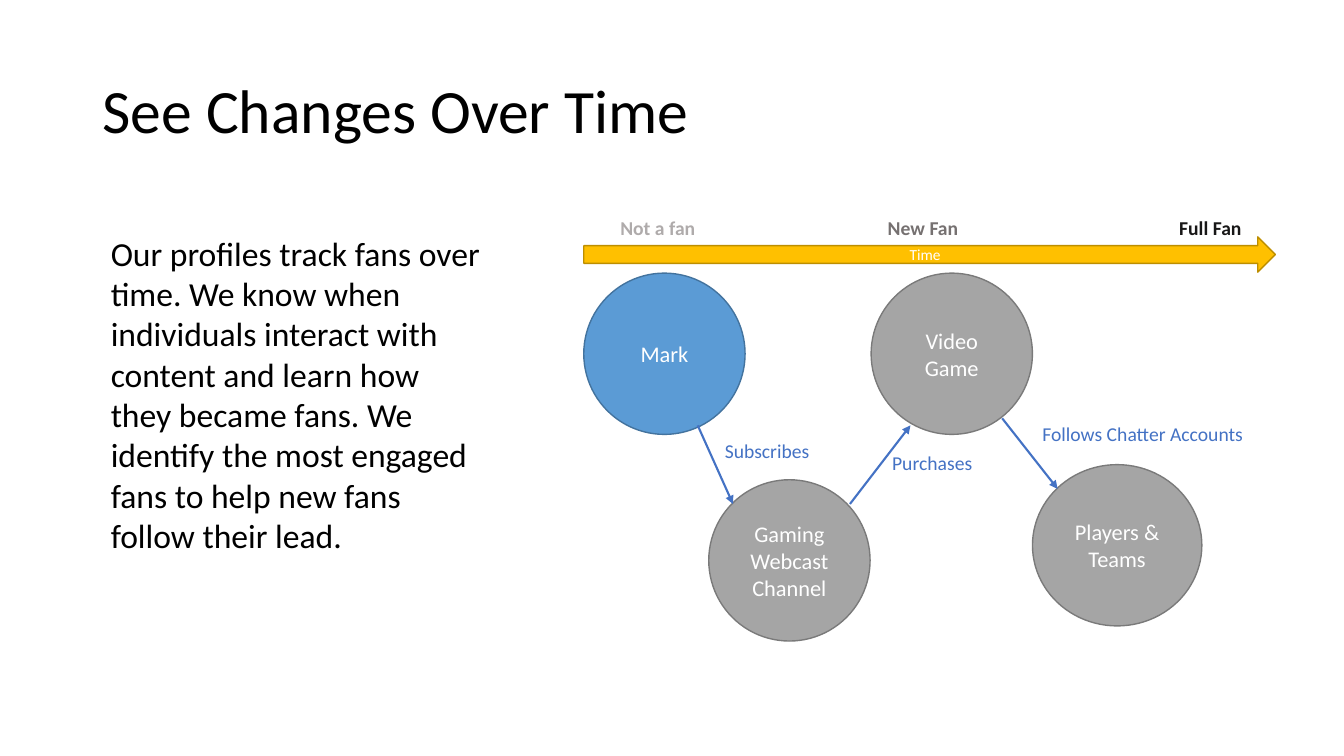
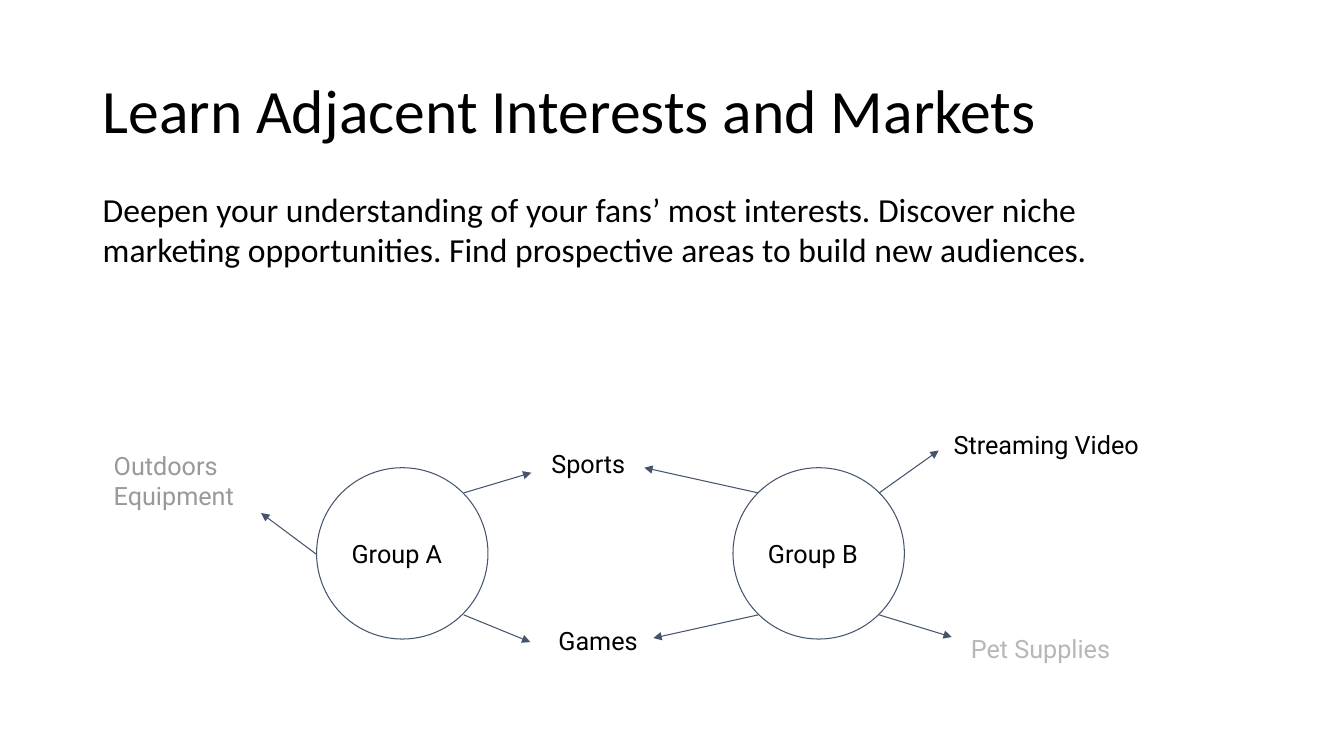
"""Build two slides on fan profiles and their shared interests."""
from dataclasses import dataclass

from lxml import etree
from pptx import Presentation
from pptx import util as u
from pptx.dml.color import RGBColor
from pptx.enum import shapes, text
from pptx.oxml import ns


@dataclass(frozen=True)
class Theme:
    """Fonts, type sizes and colours of the deck."""
    main: str = "Calibri"
    alt: str = "Roboto"
    head: float = 44
    body: float = 24
    group: float = 18
    node: float = 16
    label: float = 14
    tiny: float = 11
    black: str = "000000"
    white: str = "FFFFFF"
    blue: str = "4472C4"
    sky: str = "5B9BD5"
    sky_edge: str = "43739E"
    gray: str = "A5A5A5"
    gray_edge: str = "7A7A7A"
    gold: str = "FFC000"
    gold_edge: str = "BD8E00"
    slate: str = "44546A"
    stages: tuple[str, ...] = ("AFABAB", "767171", "181717")
    faint: str = "999999"
    pale: str = "B7B7B7"


T = Theme()
MID = text.PP_ALIGN.CENTER
LEFT = text.PP_ALIGN.LEFT
OVAL = shapes.MSO_SHAPE.OVAL
ARROW = shapes.MSO_SHAPE.RIGHT_ARROW


@dataclass(frozen=True)
class Style:
    """How a piece of text looks; pad is the top and bottom inset."""
    size: float
    color: str = T.black
    font: str = T.main
    bold: bool = False
    align: text.PP_ALIGN = LEFT
    pad: float = 0.05
    space: float | None = None
    middle: bool = False


@dataclass(frozen=True)
class Box:
    """A place on the slide, in inches."""
    x: float
    y: float
    w: float
    h: float


@dataclass(frozen=True)
class Note:
    """A text box."""
    words: str
    box: Box
    style: Style


@dataclass(frozen=True)
class Node:
    """A preset shape with text; no fill leaves it clear."""
    words: str
    box: Box
    style: Style
    edge: str
    fill: str | None = None
    width: float = 1
    kind: shapes.MSO_SHAPE = OVAL


@dataclass(frozen=True)
class Link:
    """An arrow between two points."""
    start: tuple[float, float]
    end: tuple[float, float]
    color: str
    width: float


def write(shape, words: str, style: Style) -> None:
    """Put styled text in a shape."""
    frame = shape.text_frame
    frame.text = words
    frame.word_wrap = True
    frame.margin_top = frame.margin_bottom = u.Inches(style.pad)
    anchor = text.MSO_ANCHOR
    frame.vertical_anchor = anchor.MIDDLE if style.middle else anchor.TOP
    for para in frame.paragraphs:
        para.alignment = style.align
        para.line_spacing = style.space
        for run in para.runs:
            run.font.name = style.font
            run.font.size = u.Pt(style.size)
            run.font.bold = style.bold
            run.font.color.rgb = RGBColor.from_string(style.color)


def place(box: Box) -> list[u.Length]:
    """Turn a box into lengths."""
    return [u.Inches(side) for side in (box.x, box.y, box.w, box.h)]


def draw_note(slide, note: Note) -> None:
    """Draw a text box."""
    write(slide.shapes.add_textbox(*place(note.box)), note.words, note.style)


def draw_node(slide, node: Node) -> None:
    """Draw a shape with its text."""
    shape = slide.shapes.add_shape(node.kind, *place(node.box))
    shape.shadow.inherit = False
    if node.fill:
        shape.fill.solid()
        shape.fill.fore_color.rgb = RGBColor.from_string(node.fill)
    else:
        shape.fill.background()
    shape.line.color.rgb = RGBColor.from_string(node.edge)
    shape.line.width = u.Pt(node.width)
    write(shape, node.words, node.style)


def draw_link(slide, link: Link) -> None:
    """Draw an arrow with a head at its end."""
    ends = [u.Inches(side) for side in (*link.start, *link.end)]
    line = slide.shapes.add_connector(shapes.MSO_CONNECTOR.STRAIGHT, *ends)
    line.line.color.rgb = RGBColor.from_string(link.color)
    line.line.width = u.Pt(link.width)
    tip = etree.SubElement(line.line._get_or_add_ln(), ns.qn("a:tailEnd"))
    tip.set("type", "triangle")
    etree.SubElement(line._element.spPr, ns.qn("a:effectLst"))


def add_slide(deck, title: str, body: Note, nodes: list[Node],
              links: list[Link], notes: list[Note]) -> None:
    """Add a slide with a title, body text and a chart of nodes."""
    slide = deck.slides.add_slide(deck.slide_layouts[6])
    head = Style(T.head, space=0.9, middle=True)
    draw_note(slide, Note(title, Box(0.92, 0.4, 11.5, 1.45), head))
    for node in nodes:
        draw_node(slide, node)
    for link in links:
        draw_link(slide, link)
    for note in [*notes, body]:
        draw_note(slide, note)


def add_changes(deck) -> None:
    """Show how one person becomes a fan."""
    inner = Style(T.node, T.white, align=MID, middle=True)
    tiny = Style(T.tiny, T.white, align=MID, middle=True)
    steps = [("Gaming\nWebcast Channel", 7.03, 4.76, 1.6),
             ("Video Game", 8.64, 2.71, 1.6),
             ("Players & Teams", 10.24, 4.61, 1.68)]
    nodes = [Node(words, Box(x, y, w, 1.6), inner, T.gray_edge, T.gray)
             for words, x, y, w in steps]
    nodes += [
        Node("Mark", Box(5.79, 2.71, 1.6, 1.6), inner, T.sky_edge, T.sky),
        Node("Time", Box(5.79, 2.35, 6.86, 0.35), tiny, T.gold_edge, T.gold,
             kind=ARROW)]
    ends = [((6.92, 4.22), (7.27, 5)),
            ((8.43, 5), (9.03, 4.22)),
            ((9.94, 4.15), (10.49, 4.85))]
    links = [Link(start, end, T.blue, 1.5) for start, end in ends]
    acts = [("Subscribes", 7.09, 4.3, 1.16),
            ("Purchases", 8.75, 4.42, 1.16),
            ("Follows Chatter Accounts", 10.24, 4.14, 2.33)]
    notes = [Note(words, Box(x, y, w, 0.35), Style(T.label, T.blue))
             for words, x, y, w in acts]
    stages = [("Not a fan", 6.01, 1.03), ("New Fan", 8.64, 1.03),
              ("Full Fan", 11.44, 1.13)]
    notes += [Note(words, Box(x, 2.09, w, 0.35),
                   Style(T.label, color, bold=True, align=MID))
              for (words, x, w), color in zip(stages, T.stages)]
    body = Note("Our profiles track fans over time. We know when individuals "
                "interact with content and learn how they became fans. We "
                "identify the most engaged fans to help new fans follow "
                "their lead.", Box(1, 2.26, 3.88, 3.33), Style(T.body))
    add_slide(deck, "See Changes Over Time", body, nodes, links, notes)


def add_markets(deck) -> None:
    """Show what two groups of fans share."""
    inner = Style(T.group, font=T.alt, pad=0.1, middle=True)
    nodes = [Node(words, Box(x, 4.64, 1.7, 1.7), inner, T.slate, width=0.75)
             for words, x in (("Group A", 3.14), ("Group B", 7.27))]
    high, low = 4.89, 6.1
    ends = [((4.6, high), (5.27, 4.69)), ((4.6, low), (5.26, 6.37)),
            ((7.52, high), (6.39, 4.64)), ((7.52, low), (6.48, 6.33)),
            ((8.72, high), (9.31, 4.47)), ((8.72, low), (9.44, 6.32)),
            ((3.14, 5.5), (2.59, 5.09))]
    links = [Link(start, end, T.slate, 0.75) for start, end in ends]
    topics = [("Sports", Box(5.37, 4.35, 1.24, 0.44), T.black),
              ("Games", Box(5.44, 6.1, 1.24, 0.44), T.black),
              ("Streaming Video", Box(9.36, 4.16, 2.15, 0.27), T.black),
              ("Pet Supplies", Box(9.53, 6.18, 2.15, 0.27), T.pale),
              ("Outdoors\nEquipment", Box(1.03, 4.37, 2.23, 0.27), T.faint)]
    notes = [Note(words, box, Style(T.group, color, T.alt, pad=0.1))
             for words, box, color in topics]
    body = Note("Deepen your understanding of your fans’ most interests. "
                "Discover niche marketing opportunities. Find prospective "
                "areas to build new audiences.",
                Box(0.92, 1.82, 11.21, 0.91), Style(T.body))
    add_slide(deck, "Learn Adjacent Interests and Markets", body, nodes,
              links, notes)


def main() -> None:
    """Build and save the deck."""
    deck = Presentation()
    deck.slide_width = u.Inches(13.33)
    deck.slide_height = u.Inches(7.5)
    add_changes(deck)
    add_markets(deck)
    deck.save("out.pptx")


main()
